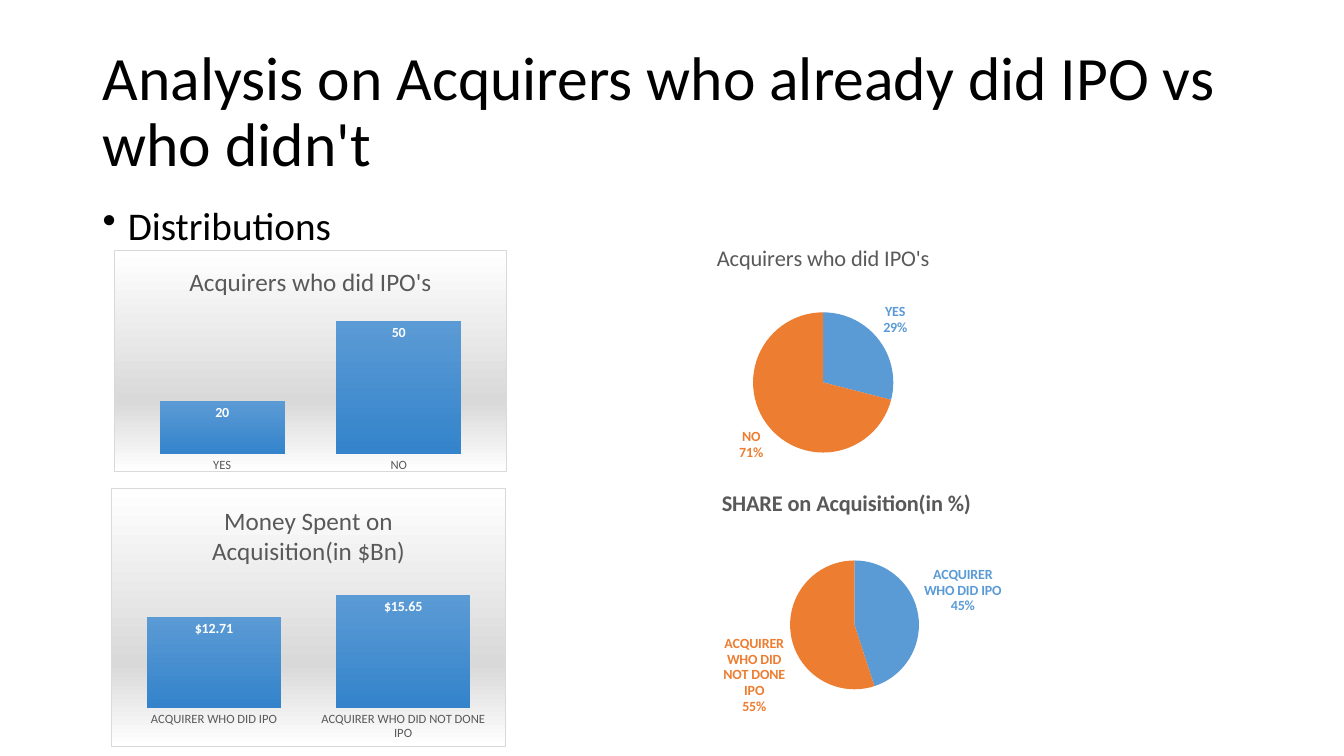
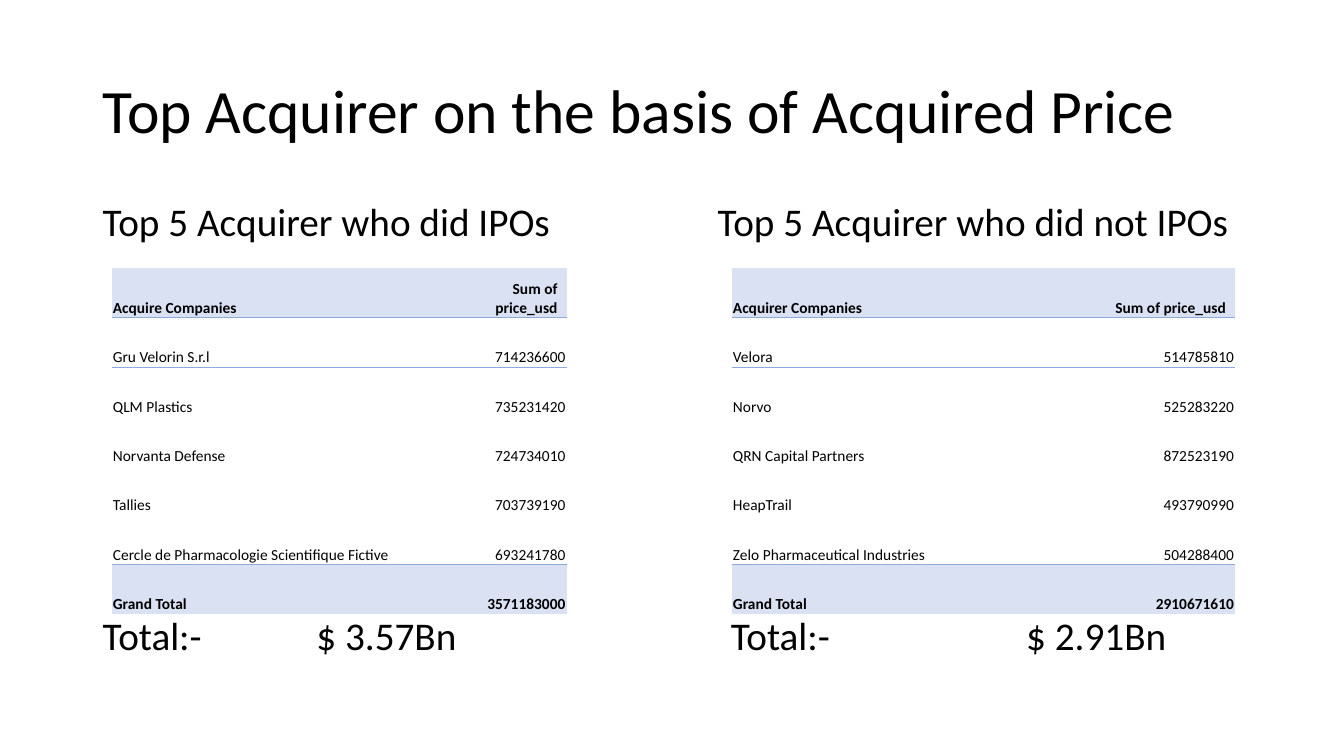
from pptx import Presentation
from pptx.chart.data import CategoryChartData as Data
from pptx.dml.color import RGBColor as Rgb
from pptx.enum.chart import XL_CHART_TYPE as Kind, XL_LABEL_POSITION as Pos
from pptx.enum.chart import XL_TICK_MARK as Tick
from pptx.enum.text import MSO_ANCHOR as Anchor, PP_ALIGN as Align
from pptx.oxml import parse_xml
from pptx.oxml.ns import nsdecls, qn
from pptx.util import Inches as In, Pt

# Theme
look = {
    "font": "Calibri", "ink": "000000", "grey": "595959", "white": "FFFFFF",
    "edge": "D9D9D9", "blue": "5B9BD5", "deep": "3483CB", "orange": "ED7D31",
    "band": "D9E1F2", "rule": "8EA9DB",
    "head": 44, "body": 28, "cell": 11, "label": 10, "axis": 9,
}
tone = {k: Rgb.from_string(v) for k, v in look.items()
        if k != "font" and isinstance(v, str)}
left, wide = 0.92, 11.5

deck = Presentation()
deck.slide_width, deck.slide_height = In(13.33), In(7.5)


def style(font, size, hue="ink", bold=False):
    form = {"name": look["font"], "size": Pt(size), "bold": bold}
    for key, val in form.items():
        setattr(font, key, val)
    font.color.rgb = tone[hue]


def write(page, words, x, y, w, h, size="body", gap=0.9, before=10,
          anchor=Anchor.TOP):
    frame = page.shapes.add_textbox(In(x), In(y), In(w), In(h)).text_frame
    frame.word_wrap, frame.vertical_anchor = True, anchor
    para = frame.paragraphs[0]
    para.line_spacing, para.space_before = gap, Pt(before)
    run = para.add_run()
    run.text = words
    style(run.font, look[size])
    return para


# Pages with their titles
pages = []
for words in ("Analysis on Acquirers who already did IPO vs who didn't",
              "Top Acquirer on the basis of Acquired Price"):
    page = deck.slides.add_slide(deck.slide_layouts[6])
    write(page, words, left, 0.4, wide, 1.45, "head", before=0,
          anchor=Anchor.MIDDLE)
    pages.append(page)
first, second = pages

# Bulleted line
props = write(first, "Distributions", left, 2, wide, 0.6)._p.get_or_add_pPr()
props.set("marL", str(In(0.25)))
props.set("indent", str(-In(0.25)))
props.append(parse_xml(f'<a:buChar {nsdecls("a")} char="&#8226;"/>'))

# Charts: kind, place, title, title size, bold, names, values, format, plot
did = ("YES", "NO")
done = ("ACQUIRER WHO DID IPO", "ACQUIRER WHO DID NOT DONE IPO")
bar, pie = Kind.COLUMN_CLUSTERED, Kind.PIE
charts = [
    (bar, (1.13, 2.48, 3.9, 2.21), "Acquirers who did IPO's", 18, False,
     did, (20, 50), "General", (0.05, 0.2, 0.9, 0.72), 60),
    (pie, (5.68, 2.26, 4.97, 2.58), "Acquirers who did IPO's", 16, False,
     did, (29, 71), "General", (0.36, 0.32, 0.28, 0.55), None),
    (bar, (1.1, 4.84, 3.92, 2.57), "Money Spent on Acquisition(in $Bn)", 18,
     False, done, (12.71, 15.65), '"$"#,##0.00', (0.02, 0.35, 0.96, 0.5), 18),
    (pie, (6.38, 4.69, 4.03, 2.72), "SHARE on Acquisition(in %)", 16, True,
     done, (45, 55), "General", (0.36, 0.32, 0.32, 0.47), None),
]
for kind, place, title, size, bold, names, vals, code, plot, top in charts:
    data = Data(number_format=code)
    data.categories = names
    data.add_series("Series 1", vals)
    chart = first.shapes.add_chart(kind, *map(In, place), data).chart
    style(chart.font, look["label"])
    chart.has_legend = False
    chart.has_title = True
    para = chart.chart_title.text_frame.paragraphs[0]
    run = para.add_run()
    run.text = title
    style(run.font, size, "grey", bold)
    chart.chart_title.include_in_layout = False

    # Plot area
    root = chart._chartSpace
    area = root.find(".//" + qn("c:plotArea"))
    for old in area.findall(qn("c:layout")):
        area.remove(old)
    spots = "".join(f'<c:{k} val="{v}"/>' for k, v in zip("xywh", plot))
    area.insert(0, parse_xml(
        f'<c:layout {nsdecls("c")}><c:manualLayout>'
        '<c:layoutTarget val="inner"/><c:xMode val="edge"/>'
        f'<c:yMode val="edge"/>{spots}</c:manualLayout></c:layout>'))

    row = chart.plots[0].series[0]
    tags = row.data_labels
    if kind == bar:
        # Columns on a shaded panel
        chart.plots[0].gap_width = 41
        chart.plots[0].vary_by_categories = False
        stops = "".join(
            f'<a:gs pos="{pos * 1000}"><a:srgbClr val="{look[hue]}"/></a:gs>'
            for pos, hue in ((0, "white"), (68, "edge"), (100, "white")))
        root.find(qn("c:chart")).addnext(parse_xml(
            f'<c:spPr {nsdecls("c", "a")}><a:gradFill><a:gsLst>{stops}'
            '</a:gsLst><a:lin ang="5400000" scaled="0"/></a:gradFill>'
            f'<a:ln w="{Pt(0.75)}"><a:solidFill><a:srgbClr '
            f'val="{look["edge"]}"/></a:solidFill></a:ln></c:spPr>'))
        fill = row.format.fill
        fill.gradient()
        fill.gradient_angle = 270
        for stop, hue in zip(fill.gradient_stops, ("blue", "deep")):
            stop.color.rgb = tone[hue]
        form = {"show_value": True, "position": Pos.INSIDE_END,
                "number_format": code, "number_format_is_linked": False}
        for key, val in form.items():
            setattr(tags, key, val)
        style(tags.font, look["label"], "white", True)
        axis = chart.category_axis
        axis.major_tick_mark = Tick.NONE
        axis.format.line.fill.background()
        style(axis.tick_labels.font, look["axis"], "grey")
        form = {"visible": False, "has_major_gridlines": False,
                "minimum_scale": 0, "maximum_scale": top}
        for key, val in form.items():
            setattr(chart.value_axis, key, val)
    else:
        # Slices with labels in their own colours
        tags.position = Pos.OUTSIDE_END
        for n, hue in enumerate(("blue", "orange")):
            point = row.points[n]
            point.format.fill.solid()
            point.format.fill.fore_color.rgb = tone[hue]
            style(point.data_label.font, look["label"], hue, True)
            point.data_label.position = Pos.OUTSIDE_END
        flags = {"showVal": 0, "showCatName": 1, "showPercent": 1}
        for key, val in flags.items():
            for flag in tags._element.iter(qn("c:" + key)):
                flag.set("val", str(val))
        for flag in list(tags._element.iter(qn("c:showBubbleSize"))):
            flag.addnext(parse_xml(
                f'<c:separator {nsdecls("c")}>\n</c:separator>'))

# Tables: heading, its left, table left, columns, total, total lefts, rows
price = "Sum of price_usd"
tables = [
    ("Top 5 Acquirer who did IPOs", left, 1.11, (3.32, 1.19),
     "$ 3.57Bn", (left, 3.04), [
         ("Acquire Companies", price),
         ("Gru Velorin S.r.l", "714236600"),
         ("QLM Plastics", "735231420"),
         ("Norvanta Defense", "724734010"),
         ("Tallies", "703739190"),
         ("Cercle de Pharmacologie Scientifique Fictive", "693241780"),
         ("Grand Total", "3571183000")]),
    ("Top 5 Acquirer who did not IPOs", 7.02, 7.26, (3.19, 1.8),
     "$ 2.91Bn", (7.15, 10.08), [
         ("Acquirer Companies", price),
         ("Velora", "514785810"),
         ("Norvo", "525283220"),
         ("QRN Capital Partners", "872523190"),
         ("HeapTrail", "493790990"),
         ("Zelo Pharmaceutical Industries", "504288400"),
         ("Grand Total", "2910671610")]),
]
plain = "{2D5ABB26-0587-4C30-8999-92F81FD0307C}"
high = 0.49
sides = {0: ["lnB"], 1: ["lnT"], 5: ["lnB"], 6: ["lnT"]}
for head, x, start, cols, total, spots, rows in tables:
    write(second, head, x, 2, 5.6, 0.6, gap=0.8)
    for words, spot in zip(("Total:-", total), spots):
        write(second, words, spot, 6.11, 2.1, 0.6, gap=0.8)
    grid = second.shapes.add_table(
        len(rows), len(cols), In(start), In(2.66), In(sum(cols)),
        In(high * len(rows))).table
    grid.first_row = grid.horz_banding = False
    grid._tbl.find(".//" + qn("a:tableStyleId")).text = plain
    for c, w in enumerate(cols):
        grid.columns[c].width = In(w)
    for r, row in enumerate(rows):
        grid.rows[r].height = In(high)
        strong = r in (0, len(rows) - 1)
        for c, words in enumerate(row):
            cell = grid.cell(r, c)
            form = {"text": words, "vertical_anchor": Anchor.BOTTOM,
                    "margin_left": In(0.01), "margin_top": In(0.01),
                    "margin_right": In(0.09 if words == price else 0.01),
                    "margin_bottom": 0}
            for key, val in form.items():
                setattr(cell, key, val)
            para = cell.text_frame.paragraphs[0]
            para.alignment = Align.RIGHT if c else Align.LEFT
            style(para.runs[0].font, look["cell"], bold=strong)
            # Rules come before the fill in the cell's properties
            for side in sides.get(r, []):
                cell._tc.get_or_add_tcPr().append(parse_xml(
                    f'<a:{side} {nsdecls("a")} w="{Pt(0.5)}"><a:solidFill>'
                    f'<a:srgbClr val="{look["rule"]}"/></a:solidFill>'
                    f'</a:{side}>'))
            if strong:
                cell.fill.solid()
                cell.fill.fore_color.rgb = tone["band"]
            else:
                cell.fill.background()

deck.save("out.pptx")
